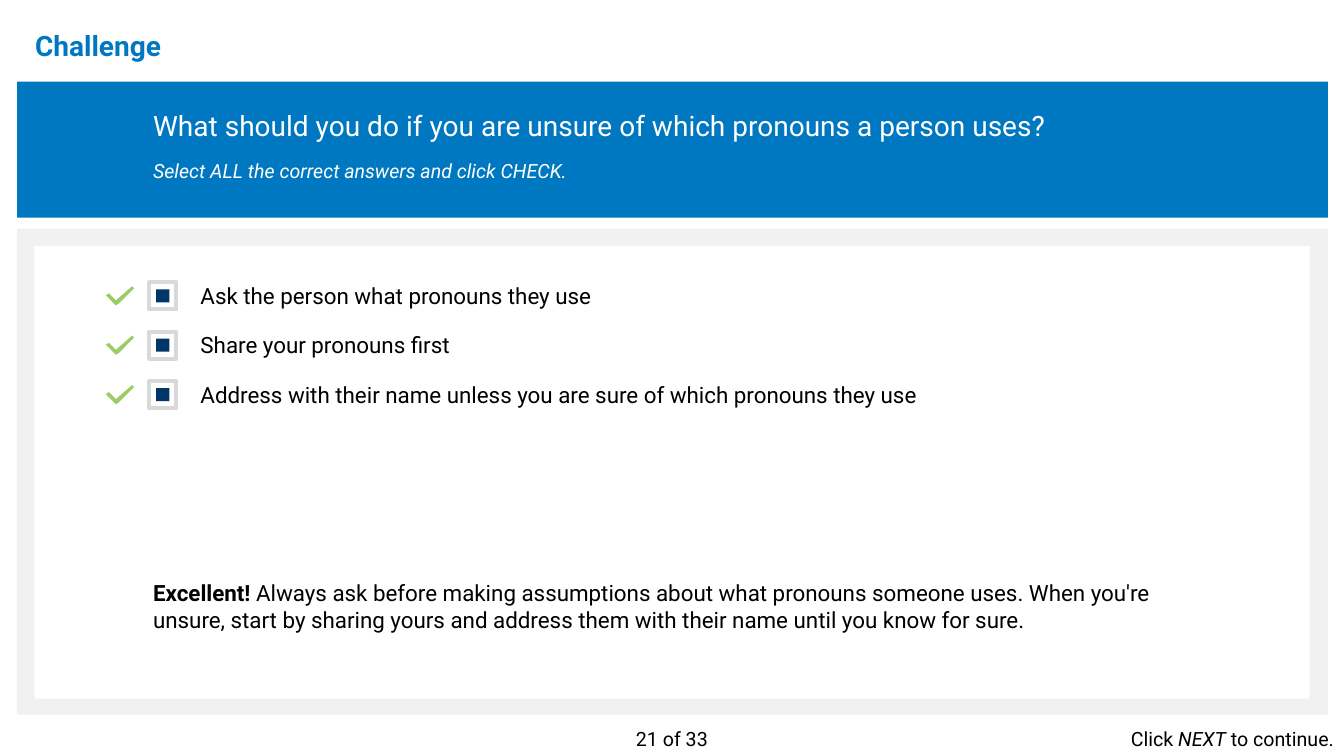
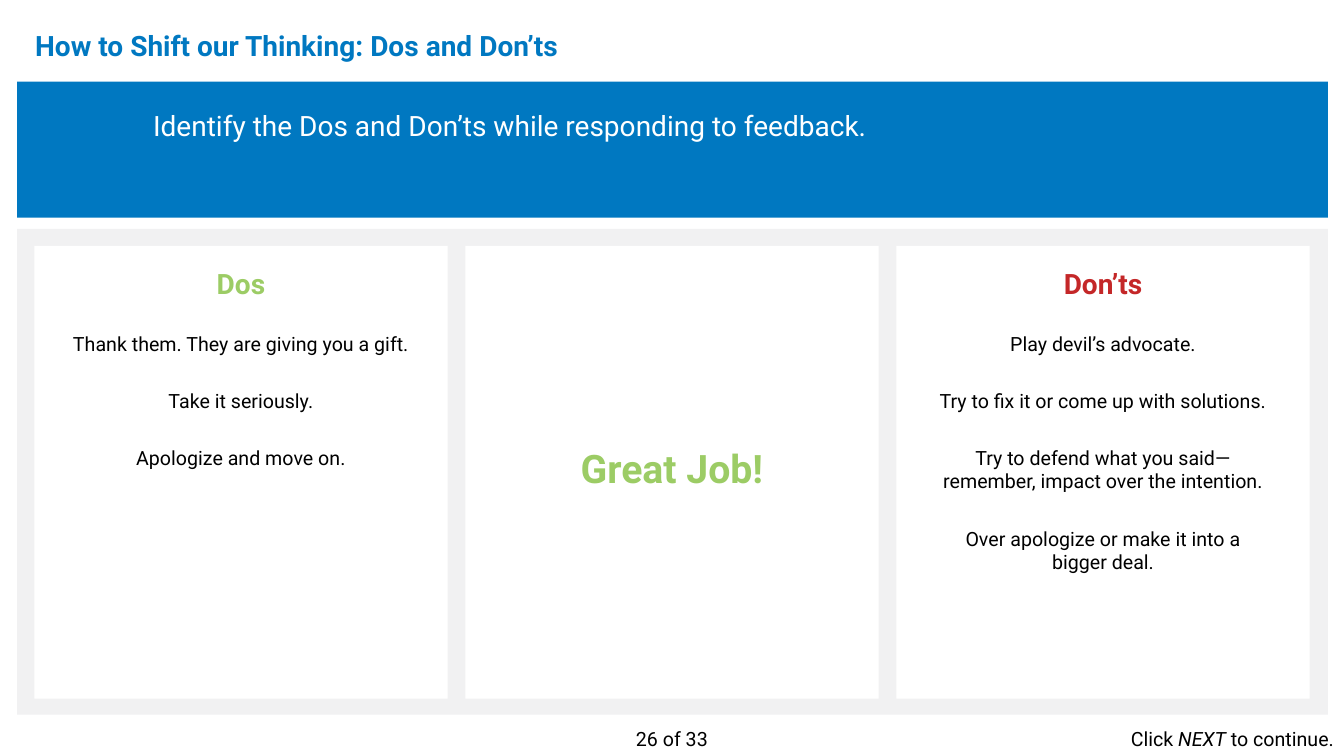
from pptx import Presentation
from pptx.dml.color import RGBColor
from pptx.enum.shapes import MSO_SHAPE
from pptx.enum.text import MSO_ANCHOR, PP_ALIGN
from pptx.util import Inches, Pt

RECTANGLE = MSO_SHAPE.RECTANGLE
TOP, MIDDLE = MSO_ANCHOR.TOP, MSO_ANCHOR.MIDDLE
LEFT, CENTER, RIGHT = PP_ALIGN.LEFT, PP_ALIGN.CENTER, PP_ALIGN.RIGHT

COLORS = {
    "blue": "0078C1",
    "navy": "003767",
    "green": "9CCC65",
    "red": "C42728",
    "frame": "F1F1F2",
    "border": "D9D9D9",
    "white": "FFFFFF",
    "black": "000000",
}
FORMATS = {
    "heading": {"size": Pt(20), "bold": True},
    "prompt": {"size": Pt(20)},
    "hint": {"size": Pt(14), "italic": True},
    "body": {"size": Pt(16)},
    "strong": {"size": Pt(16), "bold": True},
    "small": {"size": Pt(14)},
    "praise": {"size": Pt(28), "bold": True},
}
CHECK_POINTS = [(26, 0), (10, 14), (3, 7), (0, 9), (10, 19), (13, 17), (28, 2)]
PANEL_LEFT, PANEL_TOP, PANEL_WIDTH, PANEL_HEIGHT = 0.34, 2.44, 12.65, 4.49
CARD_WIDTH = 4.1
CARD_STEP = (PANEL_WIDTH - CARD_WIDTH) / 2
BOX_SIZE, MARK_SIZE = 0.27, 0.13


class LessonDeck:
    def __init__(self):
        self.deck = Presentation()
        self.deck.slide_width = Inches(13.33)
        self.deck.slide_height = Inches(7.5)
        self.page = None

    def color(self, name):
        return RGBColor.from_string(COLORS[name])

    def add_page(self, title, prompt, number):
        self.page = self.deck.slides.add_slide(self.deck.slide_layouts[6])
        self.rectangle(0.17, 0.81, 13, 1.35, "blue")
        self.rectangle(0.17, 2.27, 13, 4.82, "frame")
        self.heading(0.25, 0.2, 11.5, title, "blue", LEFT)
        self.text(1.42, 1.03, 11.35, 0.84, prompt, "white", after=12)
        self.text(5.33, 7.16, 2.67, 0.34, [[(f"{number} of 33", "small")]], align=CENTER)
        self.text(10.67, 7.16, 2.66, 0.34,
                  [[("Click ", "small"), ("NEXT", "hint"), (" to continue.", "small")]],
                  align=RIGHT)

    def paint(self, shape, fill, line=None):
        shape.shadow.inherit = False
        shape.fill.solid()
        shape.fill.fore_color.rgb = self.color(fill)
        if line:
            shape.line.color.rgb = self.color(line)
            shape.line.width = Pt(3)
        else:
            shape.line.fill.background()

    def rectangle(self, left, top, width, height, fill, line=None):
        shape = self.page.shapes.add_shape(
            RECTANGLE, Inches(left), Inches(top), Inches(width), Inches(height))
        self.paint(shape, fill, line)

    def panel(self, left, width):
        self.rectangle(left, PANEL_TOP, width, PANEL_HEIGHT, "white")

    def check(self, left, top):
        builder = self.page.shapes.build_freeform(*CHECK_POINTS[0], scale=Inches(0.01))
        builder.add_line_segments(CHECK_POINTS[1:], close=True)
        self.paint(builder.convert_to_shape(Inches(left), Inches(top)), "green")

    def checkbox(self, left, top):
        inset = (BOX_SIZE - MARK_SIZE) / 2
        self.rectangle(left, top, BOX_SIZE, BOX_SIZE, "white", "border")
        self.rectangle(left + inset, top + inset, MARK_SIZE, MARK_SIZE, "navy")

    def text(self, left, top, width, height, paragraphs, color="black",
             align=LEFT, anchor=TOP, after=0, spacing=None):
        box = self.page.shapes.add_textbox(
            Inches(left), Inches(top), Inches(width), Inches(height))
        frame = box.text_frame
        frame.word_wrap = True
        frame.vertical_anchor = anchor
        layout = {"alignment": align, "line_spacing": spacing}
        for index, spans in enumerate(paragraphs):
            para = frame.add_paragraph() if index else frame.paragraphs[0]
            for name, value in layout.items():
                setattr(para, name, value)
            if index < len(paragraphs) - 1:
                para.space_after = Pt(after)
            for words, style in spans:
                span = para.add_run()
                span.text = words
                span.font.name = "Roboto"
                span.font.color.rgb = self.color(color)
                for name, value in FORMATS[style].items():
                    setattr(span.font, name, value)

    def heading(self, left, top, width, words, color, align):
        self.text(left, top, width, 0.54, [[(words, "heading")]], color,
                  align, MIDDLE, spacing=0.9)

    def column(self, left, title, color, items, width):
        middle = left + CARD_WIDTH / 2
        self.heading(middle - 1.16, 2.56, 2.32, title, color, CENTER)
        self.text(middle - width / 2, 3.24, width, 2.5,
                  [[(item, "small")] for item in items], align=CENTER, after=24)

    def save(self):
        self.deck.save("out.pptx")


def build_challenge(lesson):
    lesson.add_page("Challenge", [
        [("What should you do if you are unsure of which pronouns a person uses?", "prompt")],
        [("Select ALL the correct answers and click CHECK.", "hint")],
    ], 21)
    lesson.panel(PANEL_LEFT, PANEL_WIDTH)
    answers = [
        "Ask the person what pronouns they use",
        "Share your pronouns first",
        "Address with their name unless you are sure of which pronouns they use",
    ]
    for index in range(len(answers)):
        top = 2.8 + index * 0.49
        lesson.check(1.05, top + 0.04)
        lesson.checkbox(1.48, top)
    lesson.text(1.89, 2.75, 8.24, 1.36, [[(answer, "body")] for answer in answers], after=16)
    lesson.text(1.42, 5.7, 10.5, 0.64, [[
        ("Excellent! ", "strong"),
        ("Always ask before making assumptions about what pronouns someone uses. "
         "When you're unsure, start by sharing yours and address them with their name "
         "until you know for sure.", "body"),
    ]])


def build_dos_and_donts(lesson):
    lesson.add_page("How to Shift our Thinking: Dos and Don’ts", [
        [("Identify the Dos and Don’ts while responding to feedback.", "prompt")],
    ], 26)
    card_lefts = [PANEL_LEFT + index * CARD_STEP for index in range(3)]
    for left in card_lefts:
        lesson.panel(left, CARD_WIDTH)
    lesson.column(card_lefts[0], "Dos", "green", [
        "Thank them. They are giving you a gift.",
        "Take it seriously.",
        "Apologize and move on.",
    ], 4)
    lesson.text(4.93, 4.36, 3.47, 0.57, [[("Great Job!", "praise")]], "green", CENTER)
    lesson.column(card_lefts[2], "Don’ts", "red", [
        "Play devil’s advocate.",
        "Try to fix it or come up with solutions.",
        "Try to defend what you said—remember, impact over the intention.",
        "Over apologize or make it into a bigger deal.",
    ], 3.47)


def main():
    lesson = LessonDeck()
    build_challenge(lesson)
    build_dos_and_donts(lesson)
    lesson.save()


if __name__ == "__main__":
    main()
